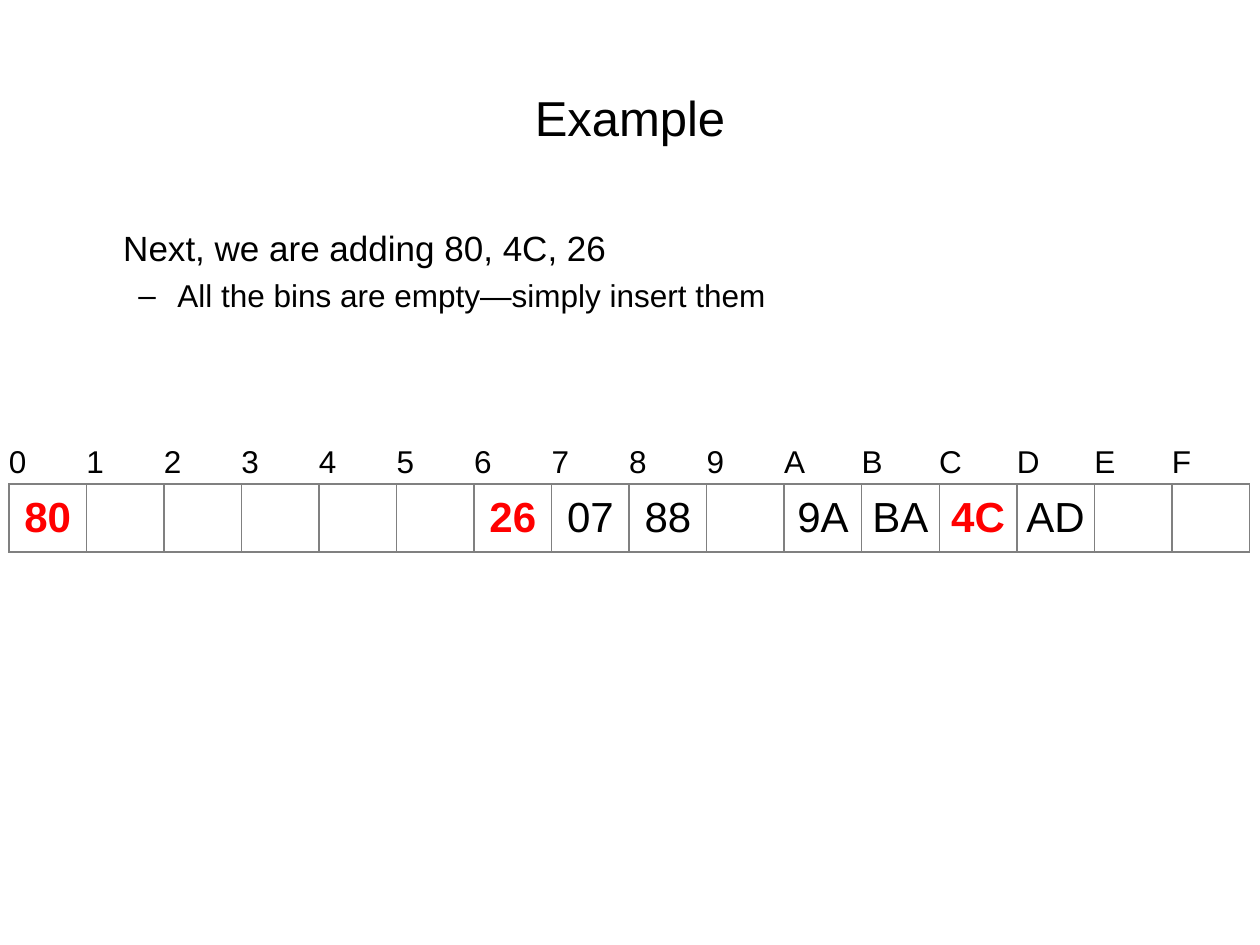
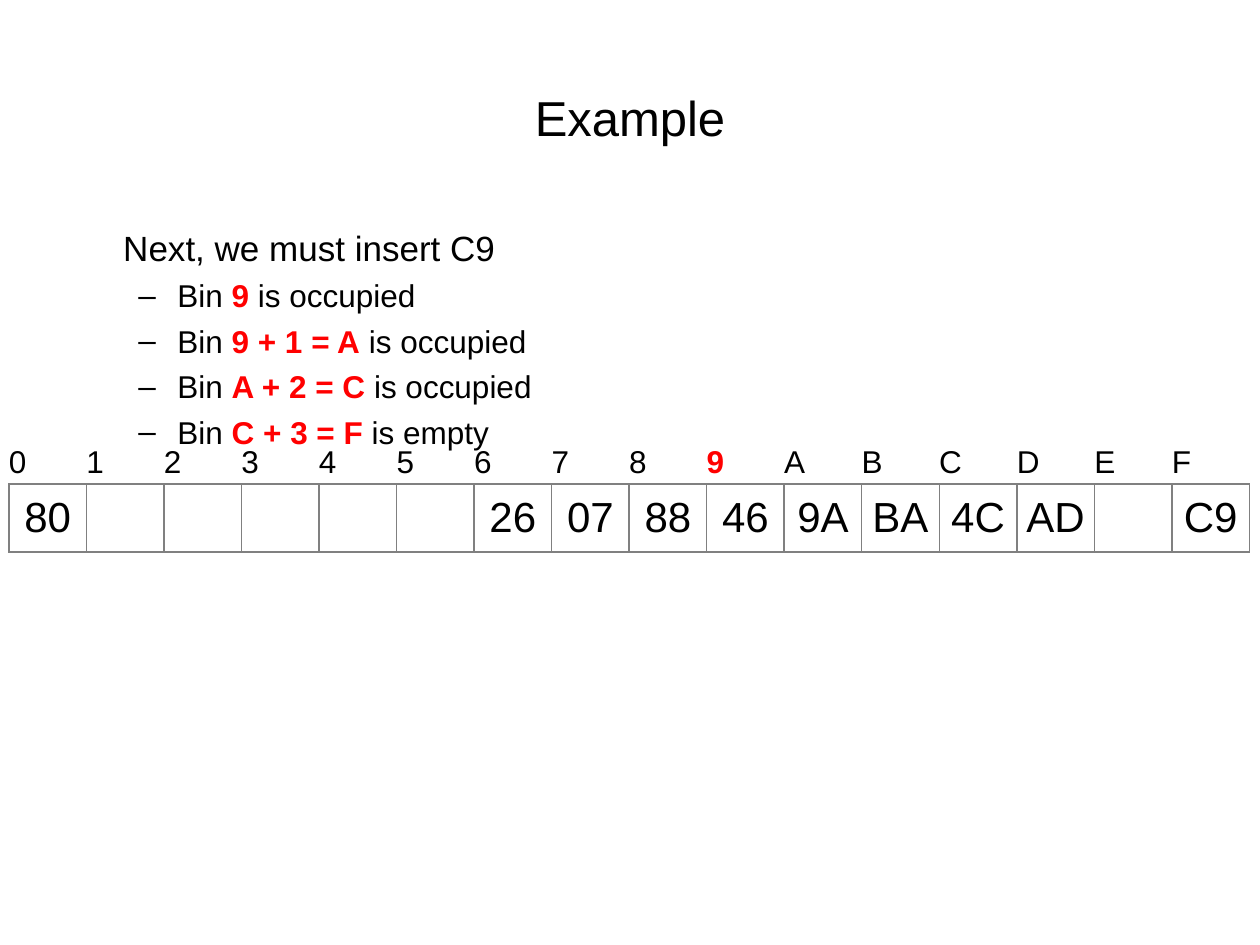
"""Build two slides that insert values into a sixteen-bin hash table."""
from lxml import etree
from pptx import Presentation
from pptx import util as u
from pptx.dml.color import RGBColor
from pptx.enum import text
from pptx.oxml import ns

BLACK = RGBColor(0x00, 0x00, 0x00)
RED = RGBColor(0xFF, 0x00, 0x00)
GRAY = RGBColor(0x80, 0x80, 0x80)
FONT = "Arial"
BINS = "0123456789ABCDEF"
PLAIN_TABLE = "{2D5ABB26-0587-4C30-8999-92F81FD0307C}"


class Deck:
    def __init__(self):
        self.prs = Presentation()
        self.prs.slide_width, self.prs.slide_height = u.Inches(10), u.Inches(7.5)
        self.s = None

    def runs(self, p, marked, size):
        for i, part in enumerate(marked.split("*")):
            if part:
                r = p.add_run()
                r.text = part
                r.font.name, r.font.size = FONT, u.Pt(size)
                r.font.bold = i % 2 == 1
                r.font.color.rgb = RED if r.font.bold else BLACK

    def place(self, sp, left, top, width, height):
        sp.left, sp.top = u.Inches(left), u.Inches(top)
        sp.width, sp.height = u.Inches(width), u.Inches(height)

    def slide(self, title):
        self.s = self.prs.slides.add_slide(self.prs.slide_layouts[5])
        sp = self.s.shapes.title
        self.place(sp, 0.5, 0.3, 9, 1.25)
        tf = sp.text_frame
        tf.vertical_anchor = text.MSO_ANCHOR.MIDDLE
        p = tf.paragraphs[0]
        p.alignment = text.PP_ALIGN.CENTER
        self.runs(p, title, 28)

    def body(self, lead, points):
        sp = self.s.shapes.add_textbox(0, 0, 0, 0)
        self.place(sp, 0.5, 1.75, 9, 4.95)
        tf = sp.text_frame
        tf.word_wrap = True
        p = tf.paragraphs[0]
        p._p.get_or_add_pPr().set("marL", str(u.Inches(0.38)))
        self.runs(p, lead, 20)
        for point in points:
            p = tf.add_paragraph()
            p.level = 1
            p.space_before = u.Pt(4.4)
            pPr = p._p.get_or_add_pPr()
            pPr.set("marL", str(u.Inches(0.81)))
            pPr.set("indent", str(u.Inches(-0.31)))
            etree.SubElement(pPr, ns.qn("a:buFont")).set("typeface", FONT)
            etree.SubElement(pPr, ns.qn("a:buChar")).set("char", "–")
            self.runs(p, point, 18)

    def borders(self, cell, sides):
        tcPr = cell._tc.get_or_add_tcPr()
        for side in sides:
            ln = etree.SubElement(tcPr, ns.qn(f"a:ln{side}"), w=str(u.Pt(1)))
            fill = etree.SubElement(ln, ns.qn("a:solidFill"))
            etree.SubElement(fill, ns.qn("a:srgbClr"), val=str(GRAY))

    def cell(self, cell, marked, size, align, sides):
        cell.margin_left = cell.margin_right = 0
        cell.margin_top = cell.margin_bottom = 0
        cell.vertical_anchor = text.MSO_ANCHOR.MIDDLE
        self.borders(cell, sides)
        cell.fill.background()
        p = cell.text_frame.paragraphs[0]
        p.alignment = align
        self.runs(p, marked, size)

    def hash_table(self, values, current=None):
        table = self.s.shapes.add_table(
            2, len(BINS), u.Inches(0.07), u.Inches(3.51),
            u.Inches(9.85), u.Inches(0.87)).table
        table.first_row = table.horz_banding = False
        table._tbl.tblPr.find(ns.qn("a:tableStyleId")).text = PLAIN_TABLE
        table.rows[0].height, table.rows[1].height = u.Inches(0.33), u.Inches(0.54)
        for col, name in enumerate(BINS):
            label = f"*{name}*" if name == current else name
            self.cell(table.cell(0, col), label, 18, text.PP_ALIGN.LEFT, "B")
            self.cell(table.cell(1, col), values.get(name, ""), 24,
                      text.PP_ALIGN.CENTER, "LRTB")


def main():
    deck = Deck()
    stored = {"7": "07", "8": "88", "A": "9A", "B": "BA", "D": "AD"}

    deck.slide("Example")
    deck.body("Next, we are adding 80, 4C, 26",
              ["All the bins are empty—simply insert them"])
    deck.hash_table(stored | {"0": "*80*", "6": "*26*", "C": "*4C*"})

    deck.slide("Example")
    deck.body("Next, we must insert C9",
              ["Bin *9* is occupied", "Bin *9 + 1 = A* is occupied",
               "Bin *A + 2 = C* is occupied", "Bin *C + 3 = F* is empty"])
    deck.hash_table(stored | {"0": "80", "6": "26", "9": "46", "C": "4C", "F": "C9"},
                    current="9")

    deck.prs.save("out.pptx")


if __name__ == "__main__":
    main()
